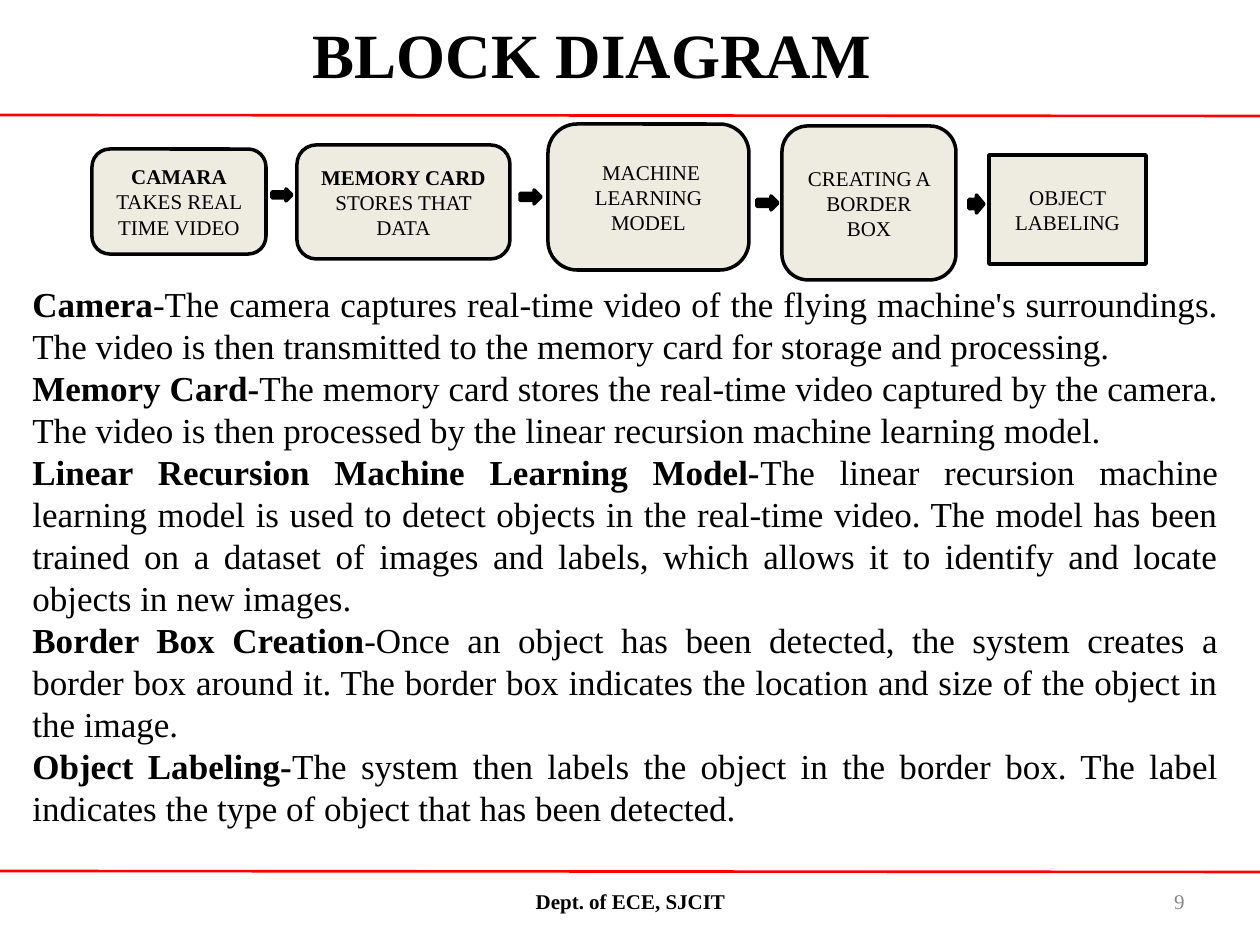
from dataclasses import dataclass

from lxml import etree
from pptx import Presentation
from pptx.dml.color import RGBColor
from pptx.enum.shapes import MSO_CONNECTOR, MSO_SHAPE
from pptx.enum.text import MSO_ANCHOR, PP_ALIGN
from pptx.oxml.ns import qn
from pptx.util import Pt

STRAIGHT = MSO_CONNECTOR.STRAIGHT
ROUNDED, ARROW = MSO_SHAPE.ROUNDED_RECTANGLE, MSO_SHAPE.RIGHT_ARROW
TOP, MIDDLE = MSO_ANCHOR.TOP, MSO_ANCHOR.MIDDLE
CENTER, RIGHT, JUSTIFY = PP_ALIGN.CENTER, PP_ALIGN.RIGHT, PP_ALIGN.JUSTIFY
EMU_PER_PX = 914400 / 126


@dataclass(frozen=True)
class Theme:
    font: str = "Times New Roman"
    ink: str = "000000"
    muted: str = "898989"
    block: str = "EEECE1"
    rule: str = "FF0000"
    title_size: int = 36
    body_size: int = 20
    small_size: int = 12
    rule_width: float = 1.5
    outline_width: float = 2


def px(*lengths):
    return [round(length * EMU_PER_PX) for length in lengths]


def write(frame, paragraphs, *, font, size, color, align=CENTER, anchor=MIDDLE):
    frame.word_wrap = True
    frame.vertical_anchor = anchor
    for index, parts in enumerate(paragraphs):
        paragraph = frame.add_paragraph() if index else frame.paragraphs[0]
        paragraph.alignment = align
        for words, bold in parts:
            run = paragraph.add_run()
            run.text = words
            run.font.name = font
            run.font.size = Pt(size)
            run.font.bold = bold
            run.font.color.rgb = RGBColor.from_string(color)


class SlideBuilder:
    def __init__(self, slide, theme):
        self.slide = slide
        self.theme = theme

    def rule(self, start, end):
        line = self.slide.shapes.add_connector(STRAIGHT, *px(*start, *end))
        line.line.color.rgb = RGBColor.from_string(self.theme.rule)
        line.line.width = Pt(self.theme.rule_width)
        etree.SubElement(line._element.spPr, qn("a:effectLst"))

    def text(self, bounds, paragraphs, size, color=None, **layout):
        box = self.slide.shapes.add_textbox(*px(*bounds))
        write(box.text_frame, paragraphs, font=self.theme.font, size=size,
              color=color or self.theme.ink, **layout)

    def outlined(self, kind, bounds, fill):
        shape = self.slide.shapes.add_shape(kind, *px(*bounds))
        shape.shadow.inherit = False
        shape.fill.solid()
        shape.fill.fore_color.rgb = RGBColor.from_string(fill)
        shape.line.color.rgb = RGBColor.from_string(self.theme.ink)
        shape.line.width = Pt(self.theme.outline_width)
        return shape

    def block(self, bounds, rounding, parts):
        shape = self.outlined(ROUNDED, bounds, self.theme.block)
        shape.adjustments[0] = rounding
        write(shape.text_frame, [parts], font=self.theme.font,
              size=self.theme.small_size, color=self.theme.ink)

    def arrow(self, bounds):
        self.outlined(ARROW, bounds, self.theme.ink)


STAGES = [
    ((92, 149, 174, 105), 0.17, [("CAMARA", True), (" TAKES REAL TIME VIDEO", False)]),
    ((297, 145, 213, 114), 0.17, [("MEMORY CARD ", True), ("STORES THAT DATA", False)]),
    ((548, 124, 201, 146), 0.2, [(" MACHINE LEARNING MODEL", False)]),
    ((782, 126, 174, 154), 0.17, [("CREATING A BORDER BOX", False)]),
    ((989, 155, 157, 109), 0, [("OBJECT LABELING", False)]),
]
ARROWS = [(272, 189, 20, 12), (520, 190, 21, 14), (757, 196, 21, 14), (969, 195, 15, 18)]
EXPLANATIONS = [
    ("Camera", "-The camera captures real-time video of the flying machine's surroundings. "
     "The video is then transmitted to the memory card for storage and processing."),
    ("Memory Card-", "The memory card stores the real-time video captured by the camera. "
     "The video is then processed by the linear recursion machine learning model."),
    ("Linear Recursion Machine Learning Model-",
     "The linear recursion machine learning model is used to detect objects in the "
     "real-time video. The model has been trained on a dataset of images and labels, "
     "which allows it to identify and locate objects in new images."),
    ("Border Box Creation", "-Once an object has been detected, the system creates a border "
     "box around it. The border box indicates the location and size of the object in the image."),
    ("Object Labeling-", "The system then labels the object in the border box. "
     "The label indicates the type of object that has been detected."),
]


def main():
    deck = Presentation()
    deck.slide_width, deck.slide_height = px(1260, 945)
    theme = Theme()
    page = SlideBuilder(deck.slides.add_slide(deck.slide_layouts[6]), theme)

    page.rule((0, 115), (1260, 116))
    page.rule((0, 871), (1260, 872))
    page.text((67, 9, 1050, 89), [[("BLOCK DIAGRAM", True)]], theme.title_size, anchor=TOP)
    page.text((431, 876, 399, 50), [[("Dept. of ECE, SJCIT", True)]], theme.small_size)
    page.text((903, 876, 294, 50), [[("9", False)]], theme.small_size, theme.muted, align=RIGHT)
    for bounds, rounding, parts in STAGES:
        page.block(bounds, rounding, parts)
    for bounds in ARROWS:
        page.arrow(bounds)
    page.text((20, 276, 1211, 564),
              [[(term, True), (meaning, False)] for term, meaning in EXPLANATIONS],
              theme.body_size, align=JUSTIFY, anchor=TOP)
    deck.save("out.pptx")


if __name__ == "__main__":
    main()
